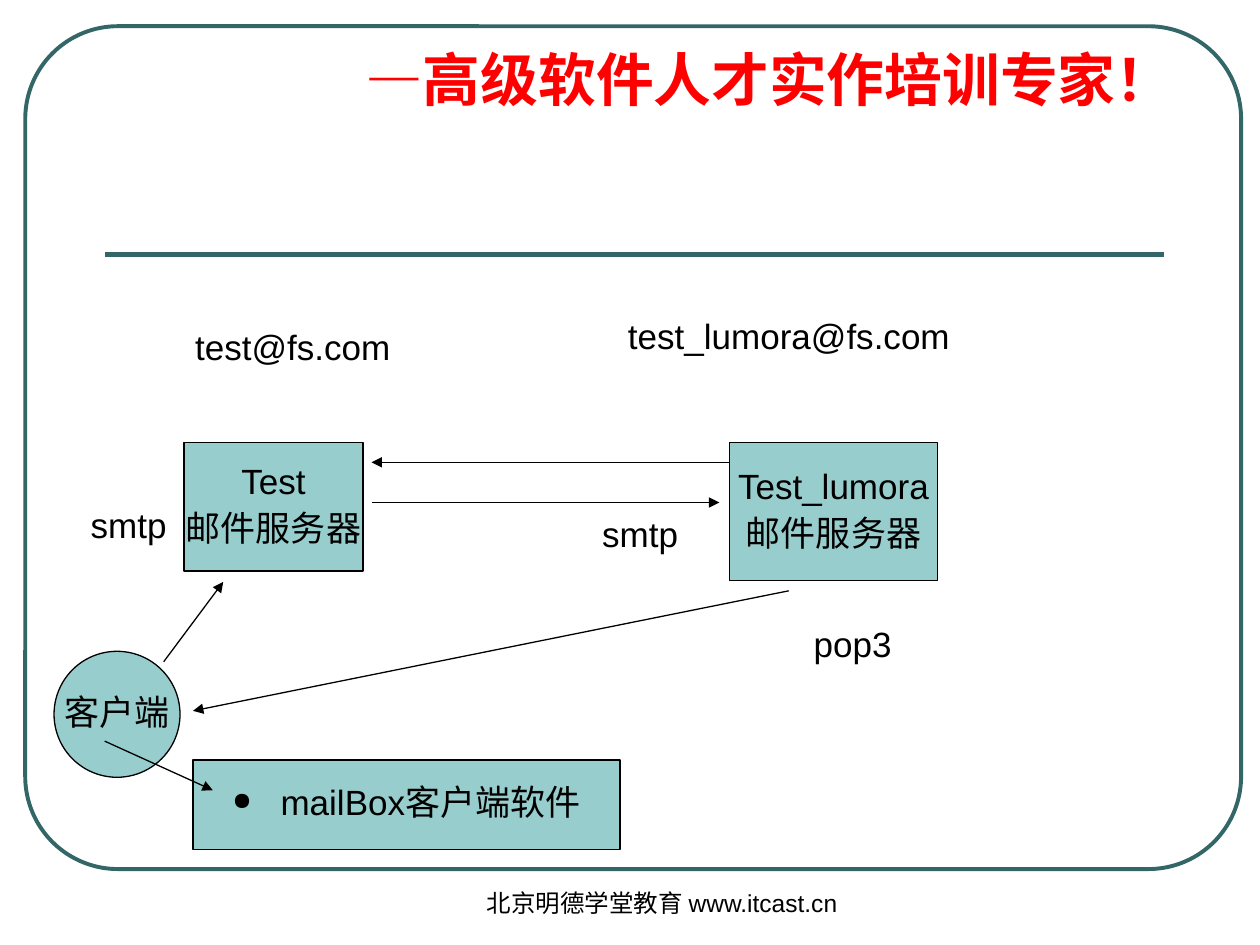
from lxml import etree
from pptx import Presentation
from pptx.dml.color import RGBColor
from pptx.enum.shapes import MSO_CONNECTOR, MSO_SHAPE
from pptx.enum.text import MSO_ANCHOR, MSO_AUTO_SIZE, PP_ALIGN
from pptx.oxml.ns import qn
from pptx.util import Cm, Pt

RECT, OVAL, ROUND = MSO_SHAPE.RECTANGLE, MSO_SHAPE.OVAL, MSO_SHAPE.ROUNDED_RECTANGLE
STRAIGHT = MSO_CONNECTOR.STRAIGHT
CENTER, LEFT = PP_ALIGN.CENTER, PP_ALIGN.LEFT
COLORS = {"frame": "336666", "node": "97CDCC", "ink": "000000", "title": "FF0000"}
LATIN, CJK, DASH = "Arial", "Noto Sans CJK SC", "Montserrat"
HANG = Cm(0.97)


def rgb(name):
    return RGBColor.from_string(COLORS[name])


def format_run(r, size, color="ink", font=LATIN, bold=False):
    r.font.size, r.font.name, r.font.bold = Pt(size), font, bold
    r.font.color.rgb = rgb(color)
    etree.SubElement(r._r.get_or_add_rPr(), qn("a:ea"), typeface=CJK)


def format_paragraph(p, align=CENTER, before=0):
    """Set the tight line spacing and hanging indent shared by the slide's text."""
    p.alignment, p.line_spacing, p.space_before = align, 0.9, Pt(before)
    pPr = p._p.get_or_add_pPr()
    pPr.set("marL", str(HANG))
    pPr.set("indent", str(-HANG))


def add_bullet(p):
    pPr = p._p.get_or_add_pPr()
    color = etree.SubElement(pPr, qn("a:buClr"))
    etree.SubElement(color, qn("a:srgbClr"), val=COLORS["ink"])
    etree.SubElement(pPr, qn("a:buSzPct"), val="70000")
    etree.SubElement(pPr, qn("a:buChar"), char="●")


def add_text_box(s, x, y, w, h, text):
    tf = s.shapes.add_textbox(Cm(x), Cm(y), Cm(w), Cm(h)).text_frame
    tf.word_wrap = True
    tf.text = text
    return tf


def add_line(s, x1, y1, x2, y2, color="ink", width=0.75, arrow=False):
    line = s.shapes.add_connector(STRAIGHT, Cm(x1), Cm(y1), Cm(x2), Cm(y2))
    line.line.color.rgb, line.line.width = rgb(color), Pt(width)
    if arrow:
        etree.SubElement(line.line._get_or_add_ln(), qn("a:tailEnd"), type="triangle")
    etree.SubElement(line._element.spPr, qn("a:effectLst"))


def add_node(s, kind, x, y, w, h, text, bullet=False):
    sp = s.shapes.add_shape(kind, Cm(x), Cm(y), Cm(w), Cm(h))
    sp.shadow.inherit = False
    sp.fill.solid()
    sp.fill.fore_color.rgb = rgb("node")
    sp.line.color.rgb, sp.line.width = rgb("ink"), Pt(0.75)
    tf = sp.text_frame
    tf.word_wrap, tf.vertical_anchor = False, MSO_ANCHOR.MIDDLE
    tf.text = text
    for i, p in enumerate(tf.paragraphs):
        if bullet:
            add_bullet(p)
        format_paragraph(p, before=5 if i else 0)
        format_run(p.runs[0], 20)


def add_label(s, x, y, w, text):
    tf = add_text_box(s, x, y, w, 1.02, text)
    tf.auto_size = MSO_AUTO_SIZE.SHAPE_TO_FIT_TEXT
    format_paragraph(tf.paragraphs[0])
    format_run(tf.paragraphs[0].runs[0], 20)


def draw_frame(s, x, y, w, h):
    sp = s.shapes.add_shape(ROUND, Cm(x), Cm(y), Cm(w), Cm(h))
    sp.adjustments[0] = 0.11
    sp.shadow.inherit = False
    sp.fill.background()
    sp.line.color.rgb, sp.line.width = rgb("frame"), Pt(2.25)
    add_line(s, x + 1.6, y + 4.6, x + 22.96, y + 4.6, "frame", 3)


def draw_title(s, x, y, w, h):
    tf = add_text_box(s, x, y, w, h, "—")
    p = tf.paragraphs[0]
    format_paragraph(p, LEFT)
    format_run(p.runs[0], 33, "title", DASH, True)
    r = p.add_run()
    r.text = "高级软件人才实作培训专家！"
    format_run(r, 33, "title", CJK, True)


def draw_mail_flow(s, x, y):
    """Draw servers, client, labels and arrows from the top left corner given."""
    nodes = [
        (RECT, 3.02, 2.6, 3.61, 2.59, "Test\n邮件服务器"),
        (RECT, 14.02, 2.6, 4.19, 2.79, "Test_lumora\n邮件服务器"),
        (OVAL, 0.4, 6.81, 2.54, 2.54, "客户端"),
        (RECT, 3.2, 9, 8.61, 1.8, "mailBox客户端软件", True),
    ]
    labels = [
        (1.42, 0.21, 7.59, "test@fs.com"),
        (10.21, 0, 10.01, "test_lumora@fs.com"),
        (0, 3.81, 3.81, "smtp"),
        (10.82, 3.99, 2.79, "smtp"),
        (14.8, 6.2, 3.4, "pop3"),
    ]
    arrows = [
        (2.61, 7.02, 3.81, 5.41),
        (6.8, 3.81, 13.81, 3.81),
        (15.21, 5.59, 3.2, 8.01),
        (14.02, 3, 6.8, 3),
        (1.42, 8.62, 3.6, 9.61),
    ]
    for kind, dx, dy, *rest in nodes:
        add_node(s, kind, x + dx, y + dy, *rest)
    for dx, dy, w, text in labels:
        add_label(s, x + dx, y + dy, w, text)
    for x1, y1, x2, y2 in arrows:
        add_line(s, x + x1, y + y1, x + x2, y + y2, arrow=True)


def draw_footer(s, x, y, w, h):
    p = add_text_box(s, x, y, w, h, "北京明德学堂教育 www.itcast.cn").paragraphs[0]
    p.alignment = CENTER
    format_run(p.runs[0], 14)


def main():
    prs = Presentation()
    prs.slide_width, prs.slide_height = Cm(25.4), Cm(19.05)
    s = prs.slides.add_slide(prs.slide_layouts[6])
    draw_frame(s, 0.51, 0.53, 24.51, 16.99)
    draw_title(s, 7.11, 0.91, 16, 2.77)
    draw_footer(s, 9.32, 17.78, 8.05, 1.27)
    draw_mail_flow(s, 0.69, 6.32)
    prs.save("out.pptx")


if __name__ == "__main__":
    main()
